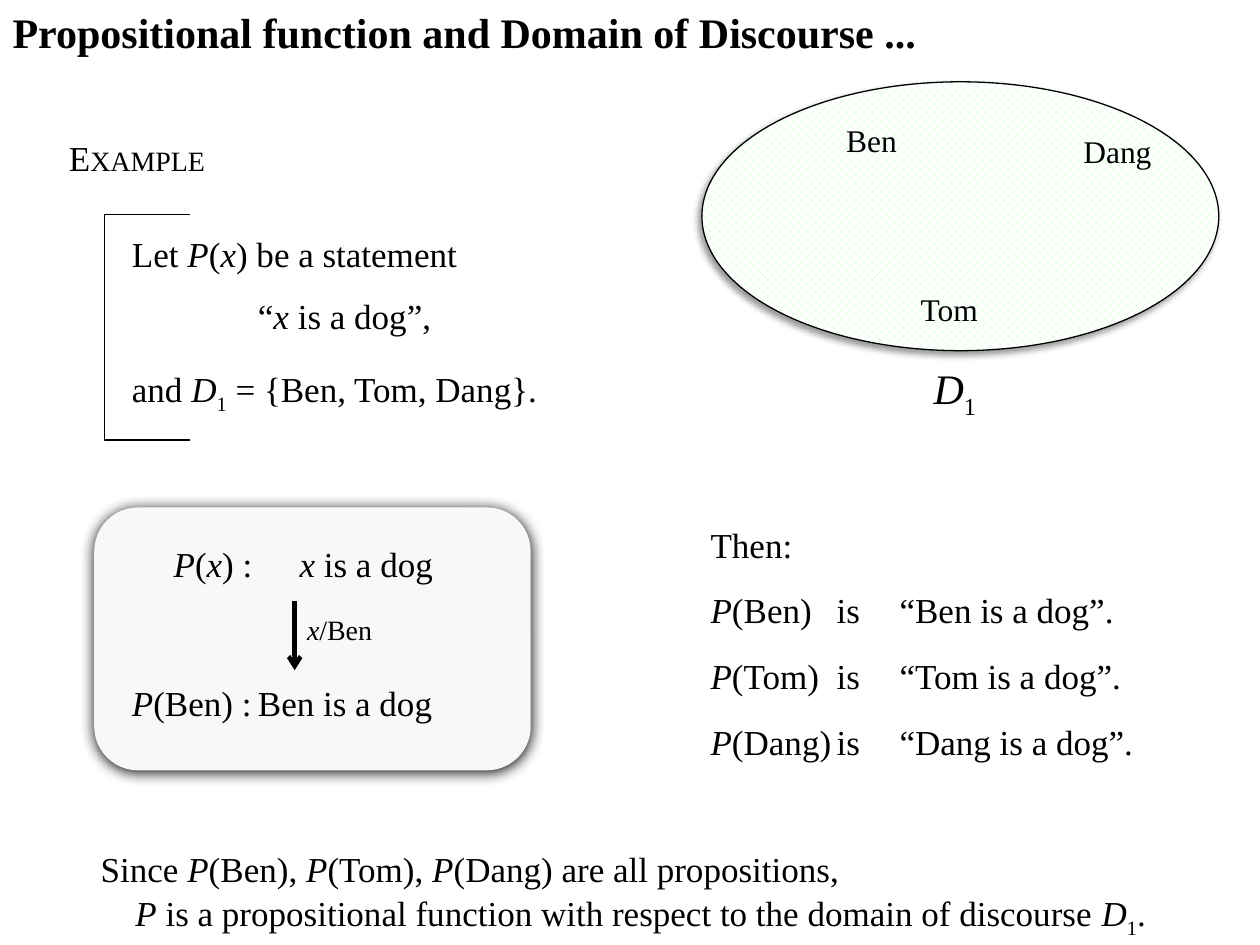
from lxml.etree import SubElement
from pptx import Presentation
from pptx.dml.color import RGBColor
from pptx.enum.dml import MSO_PATTERN
from pptx.enum.shapes import MSO_CONNECTOR, MSO_SHAPE
from pptx.enum.text import MSO_ANCHOR, MSO_AUTO_SIZE, PP_ALIGN
from pptx.oxml.ns import qn
from pptx.util import Cm, Pt


class Theme:
    font = "Times New Roman"
    ink = RGBColor(0, 0, 0)
    paper = RGBColor(0xFF, 0xFF, 0xFF)
    card = RGBColor(0xF8, 0xF8, 0xF8)
    domain = RGBColor(0xCC, 0xFF, 0xCC)
    heading, text, label, small = Pt(24), Pt(20), Pt(18), Pt(16)


def write(shape, place, lines, size=Theme.text, bold=False, tabs=()):
    """Place a text shape and fill it; a line is (text, indent in cm, space before in pt).

    In the text, *stars* mark italics and _underscores_ mark subscripts.
    """
    shape.left, shape.top, shape.width, shape.height = (Cm(value) for value in place)
    frame = shape.text_frame
    settings = {"word_wrap": True, "auto_size": MSO_AUTO_SIZE.NONE, "vertical_anchor": MSO_ANCHOR.TOP}
    for name, value in settings.items():
        setattr(frame, name, value)
    for index, (text, indent, before) in enumerate(lines):
        para = frame.add_paragraph() if index else frame.paragraphs[0]
        para.alignment = PP_ALIGN.LEFT
        para.space_before = Pt(before)
        properties = para._p.get_or_add_pPr()
        properties.set("marL", str(Cm(indent)))
        properties.set("indent", "0")
        SubElement(properties, qn("a:buNone"))
        if tabs:
            stops = SubElement(properties, qn("a:tabLst"))
            for stop in tabs:
                SubElement(stops, qn("a:tab"), pos=str(Cm(stop)), algn="l")
        for part, piece in enumerate(text.split("*")):
            for level, words in enumerate(piece.split("_")):
                if not words:
                    continue
                span = para.add_run()
                span.text = words
                look = {"name": Theme.font, "size": size, "bold": bold, "italic": part % 2 == 1}
                for name, value in look.items():
                    setattr(span.font, name, value)
                span.font.color.rgb = Theme.ink
                if level % 2:
                    span._r.get_or_add_rPr().set("baseline", "-25000")
    return frame


def cast_shadow(shape, blur, distance, degrees, opacity):
    shape.shadow.inherit = False
    effects = shape._element.spPr.find(qn("a:effectLst"))
    shadow = SubElement(effects, qn("a:outerShdw"), blurRad=str(Pt(blur)), dist=str(Pt(distance)),
                        dir=str(degrees * 60000), algn="ctr", rotWithShape="0")
    color = SubElement(shadow, qn("a:srgbClr"), val=str(Theme.ink))
    SubElement(color, qn("a:alpha"), val=str(opacity * 1000))


deck = Presentation()
deck.slide_width, deck.slide_height = Cm(25.4), Cm(19.05)
page = deck.slides.add_slide(deck.slide_layouts[1])
shapes = page.shapes

# Title and list of resulting propositions
write(shapes.title, (0, 0, 19.5, 1.27),
      [("Propositional function and Domain of Discourse ...", 0, 0)], Theme.heading, bold=True)
results = write(page.placeholders[1], (14.07, 10, 10, 6.5), [
    ("Then:", 0, 0),
    ("*P*(Ben)\tis\t“Ben is a dog”.", 0, 1.5),
    ("*P*(Tom)\tis\t“Tom is a dog”.", 0, 1.5),
    ("*P*(Dang)\tis\t“Dang is a dog”.", 0, 1.5),
], tabs=(2.58, 3.43))
for para in results.paragraphs:
    para.line_spacing = 1.5

# Substitution card, domain ellipse and example bracket
card = shapes.add_shape(MSO_SHAPE.ROUNDED_RECTANGLE, Cm(1.9), Cm(10.23), Cm(8.8), Cm(5.3))
card.fill.solid()
card.fill.fore_color.rgb = Theme.card
card.line.fill.background()
cast_shadow(card, 8.5, 1, 90, 100)

domain = shapes.add_shape(MSO_SHAPE.OVAL, Cm(14.15), Cm(1.65), Cm(10.42), Cm(5.42))
domain.fill.patterned()
domain.fill.pattern = MSO_PATTERN.PERCENT_50
domain.fill.fore_color.rgb = Theme.domain
domain.fill.back_color.rgb = Theme.paper
cast_shadow(domain, 4, 3, 135, 40)

bracket = shapes.add_shape(MSO_SHAPE.LEFT_BRACKET, Cm(2.11), Cm(4.32), Cm(1.73), Cm(4.55))
bracket.adjustments[0] = 0
bracket.fill.background()
bracket.shadow.inherit = False
for outlined in (domain, bracket):
    outlined.line.color.rgb = Theme.ink
    outlined.line.width = Pt(0.75)

# Example statement: the heading is set in capitals of two sizes
example = write(shapes.add_textbox(0, 0, 0, 0), (1.14, 2.62, 11, 7), [
    ("E", 0, 0),
    ("Let *P*(*x*) be a statement", 1.27, 31.3),
    ("“*x* is a dog”,", 3.81, 11.3),
    ("and *D*_1_ = {Ben, Tom, Dang}.", 1.27, 17.6),
])
capitals = example.paragraphs[0].add_run()
capitals.text = "XAMPLE"
for name, value in {"name": Theme.font, "size": Theme.small}.items():
    setattr(capitals.font, name, value)
capitals.font.color.rgb = Theme.ink

# Single-line labels: text, left, top, width, size, tab stops
labels = [
    ("Ben", 16.81, 2.31, 1.8, Theme.label, ()),
    ("Tom", 18.31, 5.72, 1.9, Theme.label, ()),
    ("Dang", 21.59, 2.54, 2.1, Theme.label, ()),
    ("*D*_1_", 18.57, 7.19, 1.6, Theme.heading, ()),
    ("*P*(*x*) :\t*x* is a dog", 3.25, 10.82, 6.2, Theme.text, (2.3,)),
    ("*P*(Ben) :\tBen is a dog", 2.41, 13.61, 7.5, Theme.text, (2.94,)),
    ("*x*/Ben", 5.94, 12.22, 2.2, Theme.small, ()),
]
for text, left, top, width, size, tabs in labels:
    write(shapes.add_textbox(0, 0, 0, 0), (left, top, width, 1.2), [(text, 0, 0)], size, tabs=tabs)

write(shapes.add_textbox(0, 0, 0, 0), (0.51, 16.97, 24, 1.96), [
    ("Since *P*(Ben), *P*(Tom), *P*(Dang) are all propositions,", 1.27, 0),
    ("*P* is a propositional function with respect to the domain of discourse *D*_1_.", 1.97, 1),
])

# Substitution arrow
arrow = shapes.add_connector(MSO_CONNECTOR.STRAIGHT, Cm(5.94), Cm(12.12), Cm(5.94), Cm(13.51))
arrow.line.color.rgb = Theme.ink
arrow.line.width = Pt(2.5)
SubElement(arrow.line._get_or_add_ln(), qn("a:tailEnd"), type="arrow")
SubElement(arrow._element.spPr, qn("a:effectLst"))

deck.save("out.pptx")
